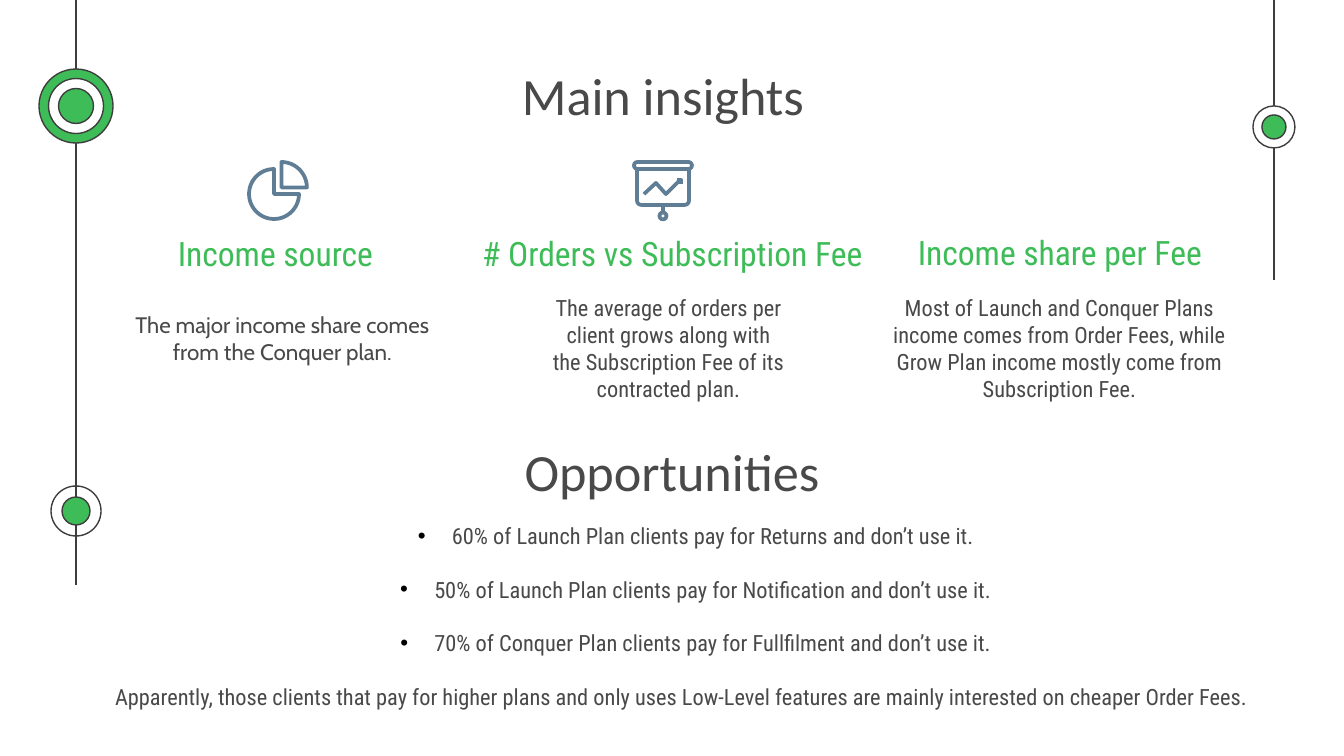
"""Build the "Main insights" slide with its columns, icons and opportunities list."""
from lxml import etree
from pptx import Presentation
from pptx.dml.color import RGBColor
from pptx.enum.shapes import MSO_CONNECTOR, MSO_SHAPE
from pptx.enum.text import MSO_ANCHOR, MSO_AUTO_SIZE, PP_ALIGN
from pptx.oxml.ns import qn
from pptx.util import Pt

SCALE = 9144000 / 1344
SLIDE_WIDTH, SLIDE_HEIGHT = 1344, 756
INSET = 13
BULLET_INDENT = 34

DARK = RGBColor(0x3D, 0x3D, 0x3D)
GREEN = RGBColor(0x3D, 0xBC, 0x58)
WHITE = RGBColor(0xFF, 0xFF, 0xFF)
BLACK = RGBColor(0x00, 0x00, 0x00)
TEXT = RGBColor(0x49, 0x49, 0x49)
STEEL = RGBColor(0x5F, 0x7D, 0x95)

HEADING_FONT = "Calibri"
MAIN_FONT = "Roboto Condensed"
ALTERNATE_FONT = "Cabin"

STRAIGHT = MSO_CONNECTOR.STRAIGHT
OVAL = MSO_SHAPE.OVAL
PIE = MSO_SHAPE.PIE
ROUNDED = MSO_SHAPE.ROUNDED_RECTANGLE
ROUNDED_BELOW = MSO_SHAPE.ROUND_2_SAME_RECTANGLE
CENTER, LEFT = PP_ALIGN.CENTER, PP_ALIGN.LEFT
TOP = MSO_ANCHOR.TOP
NO_AUTOFIT = MSO_AUTO_SIZE.NONE

TIMELINES = [
    (76, 585, [(106, [(74, GREEN), (55, WHITE), (35, GREEN)]),
               (511, [(50, None), (28, GREEN)])]),
    (1274, 280, [(127, [(42, WHITE), (24, GREEN)])]),
]

COLUMNS = [
    ("Income source", (146, 220, 259, 48),
     "The major income share comes from the Conquer plan.",
     (121, 298, 323, 159), ALTERNATE_FONT),
    ("# Orders vs Subscription Fee", (457, 220, 431, 48),
     "The average of orders per client grows along with the Subscription Fee "
     "of its contracted plan.",
     (539, 281, 259, 159), MAIN_FONT),
    ("Income share per Fee", (894, 219, 332, 48),
     "Most of Launch and Conquer Plans income comes from Order Fees, while "
     "Grow Plan income mostly come from Subscription Fee.",
     (866, 281, 387, 159), MAIN_FONT),
]

OPPORTUNITIES = [
    "60% of Launch Plan clients pay for Returns and don’t use it.",
    "50% of Launch Plan clients pay for Notification and don’t use it.",
    "70% of Conquer Plan clients pay for Fullfilment and don’t use it.",
]
CONCLUSION = ("Apparently, those clients that pay for higher plans and only uses "
              "Low-Level features are mainly interested on cheaper Order Fees.")


def px(length):
    """Turn a length in px into EMU."""
    return round(length * SCALE)


class SlideBuilder:
    """Hold the style and the current slide."""

    def __init__(self, slide):
        self.slide = slide
        self.shapes = slide.shapes

    def style(self, shape, fill, line, width):
        """Give a shape its fill and outline without a shadow."""
        shape.shadow.inherit = False
        if fill is None:
            shape.fill.background()
        else:
            shape.fill.solid()
            shape.fill.fore_color.rgb = fill
        shape.line.color.rgb = line
        shape.line.width = Pt(width)

    def shape(self, kind, box, fill=None, line=STEEL, width=2, adjustments=()):
        """Add a preset shape."""
        shape = self.shapes.add_shape(kind, *map(px, box))
        for index, value in enumerate(adjustments):
            shape.adjustments[index] = value
        self.style(shape, fill, line, width)

    def circle(self, x, y, diameter, **style):
        """Add a circle around a centre."""
        radius = diameter / 2
        self.shape(OVAL, (x - radius, y - radius, diameter, diameter), **style)

    def line(self, x, top, bottom, color, width):
        """Add a vertical line."""
        connector = self.shapes.add_connector(
            STRAIGHT, px(x), px(top), px(x), px(bottom))
        connector.line.color.rgb = color
        connector.line.width = Pt(width)
        etree.SubElement(connector._element.spPr, qn("a:effectLst"))

    def polyline(self, points):
        """Add an open outline through the points."""
        builder = self.shapes.build_freeform(*points[0], scale=SCALE)
        builder.add_line_segments(points[1:], close=False)
        self.style(builder.convert_to_shape(), None, STEEL, 2)

    def text(self, box, lines, size, color=TEXT, font=MAIN_FONT, shape=None):
        """Write centred lines into a placeholder or a new text box."""
        if shape is None:
            shape = self.shapes.add_textbox(*map(px, box))
        shape.left, shape.top, shape.width, shape.height = map(px, box)
        frame = shape.text_frame
        frame.text = "\n".join(lines)
        frame.word_wrap = True
        frame.auto_size = NO_AUTOFIT
        frame.vertical_anchor = TOP
        frame.margin_left = frame.margin_right = px(INSET)
        frame.margin_top = frame.margin_bottom = px(INSET)
        for paragraph in frame.paragraphs:
            paragraph.alignment = CENTER
            paragraph.space_before = Pt(0)
            for run in paragraph.runs:
                run.font.size = Pt(size)
                run.font.name = font
                run.font.color.rgb = color
        return frame.paragraphs

    def bullet(self, paragraph):
        """Give a paragraph a black bullet and a hanging indent."""
        properties = paragraph._p.get_or_add_pPr()
        properties.set("marL", str(px(BULLET_INDENT)))
        properties.set("indent", str(-px(BULLET_INDENT)))
        color = etree.SubElement(properties, qn("a:buClr"))
        etree.SubElement(color, qn("a:srgbClr"), val=str(BLACK))
        etree.SubElement(properties, qn("a:buFont"), typeface="Arial")
        etree.SubElement(properties, qn("a:buChar"), char="•")

    def bullet_list(self, box, items, conclusion):
        """Fill the body with bullets and a plain closing line."""
        paragraphs = self.text(box, [*items, conclusion], 12,
                               shape=self.slide.placeholders[1])
        for paragraph in paragraphs[1:]:
            paragraph.space_before = Pt(14.4)
        for paragraph in paragraphs[:-1]:
            self.bullet(paragraph)
        closing = paragraphs[-1]
        closing.alignment = LEFT
        properties = closing._p.get_or_add_pPr()
        properties.set("marL", "0")
        properties.set("indent", "0")
        etree.SubElement(properties, qn("a:buNone"))

    def timeline(self, x, bottom, markers):
        """Add a vertical line with its ringed markers."""
        self.line(x, 0, bottom, DARK, 0.75)
        for y, rings in markers:
            for diameter, fill in rings:
                self.circle(x, y, diameter, fill=fill, line=DARK, width=0.75)

    def pie_icon(self):
        """Add the pie chart icon."""
        self.shape(PIE, (249, 169, 50, 50), adjustments=(0, 162))
        self.shape(PIE, (256, 162, 51, 51), adjustments=(162, 0))

    def board_icon(self):
        """Add the presentation board icon."""
        self.shape(ROUNDED_BELOW, (637, 169, 52, 36), adjustments=(0, 0.12))
        self.shape(ROUNDED, (634, 162, 58, 7), adjustments=(0.5,))
        self.line(663, 205, 212, STEEL, 2)
        self.circle(663, 216, 7)
        self.polyline([(644, 194), (656, 183), (666, 194), (680, 180)])
        self.polyline([(677, 180), (681, 180), (681, 184)])


def main():
    """Build and save the presentation."""
    presentation = Presentation()
    presentation.slide_width = px(SLIDE_WIDTH)
    presentation.slide_height = px(SLIDE_HEIGHT)
    slide = presentation.slides.add_slide(presentation.slide_layouts[1])
    builder = SlideBuilder(slide)
    for timeline in TIMELINES:
        builder.timeline(*timeline)
    builder.text((253, 50, 820, 87), ["Main insights"], 28,
                 font=HEADING_FONT, shape=slide.shapes.title)
    for heading, heading_box, body, body_box, font in COLUMNS:
        builder.text(heading_box, [heading], 18, color=GREEN)
        builder.text(body_box, [body], 12, font=font)
    builder.pie_icon()
    builder.board_icon()
    builder.text((262, 426, 820, 87), ["Opportunities"], 28, font=HEADING_FONT)
    builder.bullet_list((102, 509, 1188, 254), OPPORTUNITIES, CONCLUSION)
    presentation.save("out.pptx")


if __name__ == "__main__":
    main()
